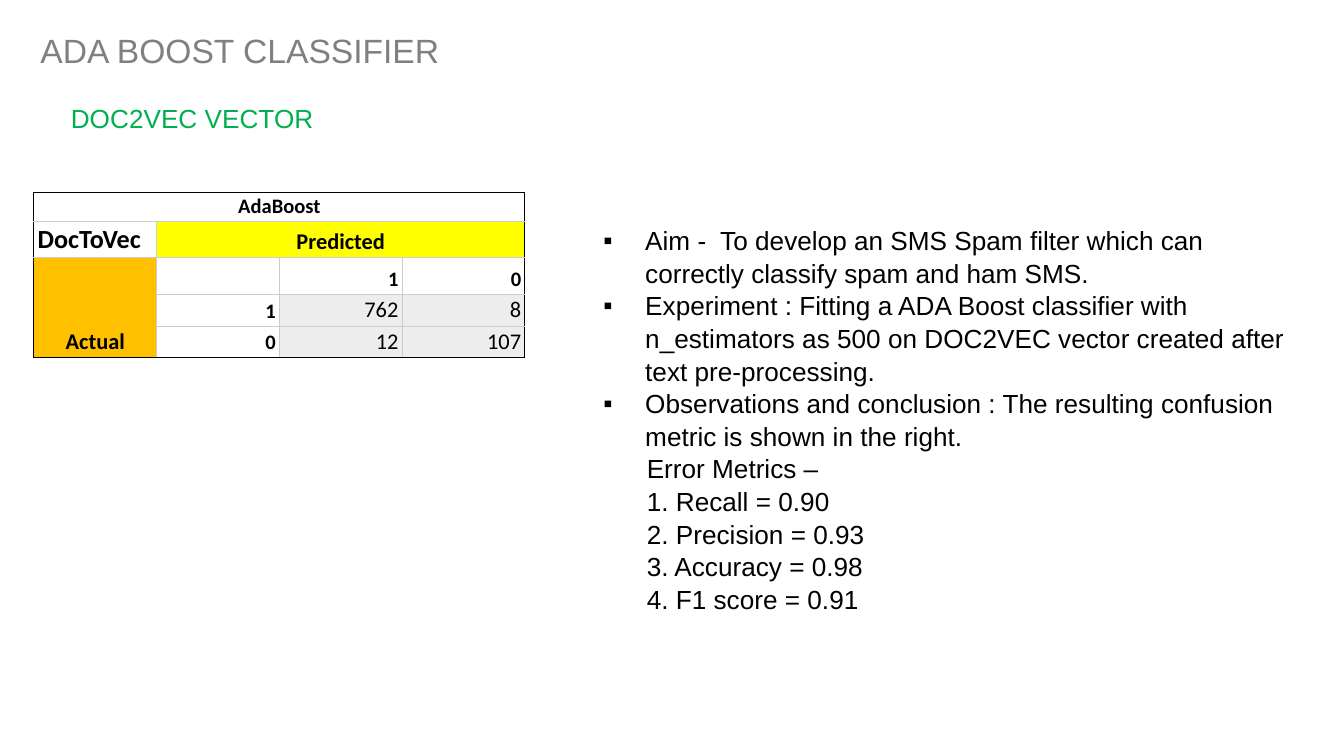
from lxml.etree import SubElement
from pptx import Presentation
from pptx.dml.color import RGBColor
from pptx.enum.text import MSO_ANCHOR, MSO_AUTO_SIZE, PP_ALIGN
from pptx.oxml.ns import qn
from pptx.util import Cm, Pt

BLACK = RGBColor(0x00, 0x00, 0x00)
GREY = RGBColor(0x80, 0x80, 0x80)
GREEN = RGBColor(0x00, 0xB0, 0x50)
YELLOW = RGBColor(0xFF, 0xFF, 0x00)
ORANGE = RGBColor(0xFF, 0xC0, 0x00)
PALE = RGBColor(0xED, 0xED, 0xED)
GRID = RGBColor(0xCC, 0xCC, 0xCC)


def write(paragraph, text, size=14, color=BLACK, font="Arial", bold=False,
          align=PP_ALIGN.LEFT):
    paragraph.alignment = align
    run = paragraph.add_run()
    run.text = text
    run.font.size = Pt(size)
    run.font.name = font
    run.font.bold = bold
    run.font.color.rgb = color


def add_border(cell, side, color):
    line = SubElement(cell._tc.get_or_add_tcPr(), qn(f"a:ln{side}"), w=str(Pt(0.6)))
    fill = SubElement(line, qn("a:solidFill"))
    SubElement(fill, qn("a:srgbClr"), val=str(color))


prs = Presentation()
prs.slide_width, prs.slide_height = Cm(25.4), Cm(14.28)
slide = prs.slides.add_slide(prs.slide_layouts[1])

# Headings
title = slide.shapes.title
title.left, title.top, title.width, title.height = Cm(0.51), Cm(0.43), Cm(17.48), Cm(1.02)
title.text_frame.auto_size = MSO_AUTO_SIZE.NONE
write(title.text_frame.paragraphs[0], "ADA BOOST CLASSIFIER", size=18, color=GREY)

subtitle = slide.shapes.add_textbox(Cm(1.09), Cm(1.8), Cm(5.16), Cm(0.86))
write(subtitle.text_frame.paragraphs[0], "DOC2VEC VECTOR", color=GREEN)

# Confusion matrix
ROW_HEIGHTS = [0.55, 0.69, 0.69, 0.6, 0.59]
COLUMN_WIDTH = 2.32
ROWS, COLUMNS = len(ROW_HEIGHTS), 4
matrix = slide.shapes.add_table(ROWS, COLUMNS, Cm(0.64), Cm(3.63),
                                Cm(COLUMNS * COLUMN_WIDTH), Cm(sum(ROW_HEIGHTS))).table
matrix.first_row = matrix.horz_banding = False
for row, height in zip(matrix.rows, ROW_HEIGHTS):
    row.height = Cm(height)
for column in matrix.columns:
    column.width = Cm(COLUMN_WIDTH)

for first, last in [((0, 0), (0, 3)), ((1, 1), (1, 3)), ((2, 0), (4, 0))]:
    matrix.cell(*first).merge(matrix.cell(*last))

LEFT, CENTER, RIGHT = PP_ALIGN.LEFT, PP_ALIGN.CENTER, PP_ALIGN.RIGHT
# (row, column): text, size, bold, alignment, fill
entries = {
    (0, 0): ("AdaBoost", 11, True, CENTER, None),
    (1, 0): ("DocToVec", 14, True, LEFT, None),
    (1, 1): ("Predicted", 12, True, CENTER, YELLOW),
    (2, 0): ("Actual", 12, True, CENTER, ORANGE),
    (2, 2): ("1", 11, True, RIGHT, None),
    (2, 3): ("0", 11, True, RIGHT, None),
    (3, 1): ("1", 11, True, RIGHT, None),
    (3, 2): ("762", 12, False, RIGHT, PALE),
    (3, 3): ("8", 12, False, RIGHT, PALE),
    (4, 1): ("0", 11, True, RIGHT, None),
    (4, 2): ("12", 12, False, RIGHT, PALE),
    (4, 3): ("107", 12, False, RIGHT, PALE),
}
for r in range(ROWS):
    for c in range(COLUMNS):
        cell = matrix.cell(r, c)
        outer = {
            "L": c == 0,
            "R": c + cell.span_width == COLUMNS,
            "T": r == 0,
            "B": r + cell.span_height == ROWS,
        }
        for side, is_outer in outer.items():
            add_border(cell, side, BLACK if is_outer else GRID)
        cell.vertical_anchor = MSO_ANCHOR.BOTTOM
        cell.margin_left = cell.margin_right = Cm(0.07)
        cell.margin_top = cell.margin_bottom = Cm(0.04)
        paragraph = cell.text_frame.paragraphs[0]
        fill = None
        if (r, c) in entries:
            text, size, bold, align, fill = entries[r, c]
            write(paragraph, text, size=size, font="Calibri", bold=bold, align=align)
        else:
            SubElement(paragraph._p, qn("a:endParaRPr"), sz="1100")
        if fill is None:
            cell.fill.background()
        else:
            cell.fill.solid()
            cell.fill.fore_color.rgb = fill

# Findings
findings = slide.placeholders[1]
findings.left, findings.top, findings.width, findings.height = Cm(11.15), Cm(4.09), Cm(13.51), Cm(8.64)
frame = findings.text_frame
frame.auto_size = MSO_AUTO_SIZE.NONE
points = [
    "Aim -  To develop an SMS Spam filter which can correctly classify spam and ham SMS.",
    "Experiment : Fitting a ADA Boost classifier with n_estimators as 500 on DOC2VEC "
    "vector created after text pre-processing.",
    "Observations and conclusion : The resulting confusion metric is shown in the right.",
]
metrics = [
    "Error Metrics –",
    "1. Recall = 0.90",
    "2. Precision = 0.93",
    "3. Accuracy = 0.98",
    "4. F1 score = 0.91",
]
for i, text in enumerate(points + metrics):
    paragraph = frame.paragraphs[0] if i == 0 else frame.add_paragraph()
    props = paragraph._p.get_or_add_pPr()
    if text in points:
        props.set("marL", str(Cm(0.79)))
        props.set("indent", str(-Cm(0.79)))
        bullet_color = SubElement(props, qn("a:buClr"))
        SubElement(bullet_color, qn("a:srgbClr"), val=str(BLACK))
        SubElement(props, qn("a:buFont"), typeface="Arial")
        SubElement(props, qn("a:buChar"), char="▪")
    else:
        props.set("marL", str(Cm(0.82)))
        props.set("indent", "0")
        SubElement(props, qn("a:buNone"))
    paragraph.space_before = Pt(0)
    paragraph.line_spacing = 1.04
    write(paragraph, text)

prs.save("out.pptx")
